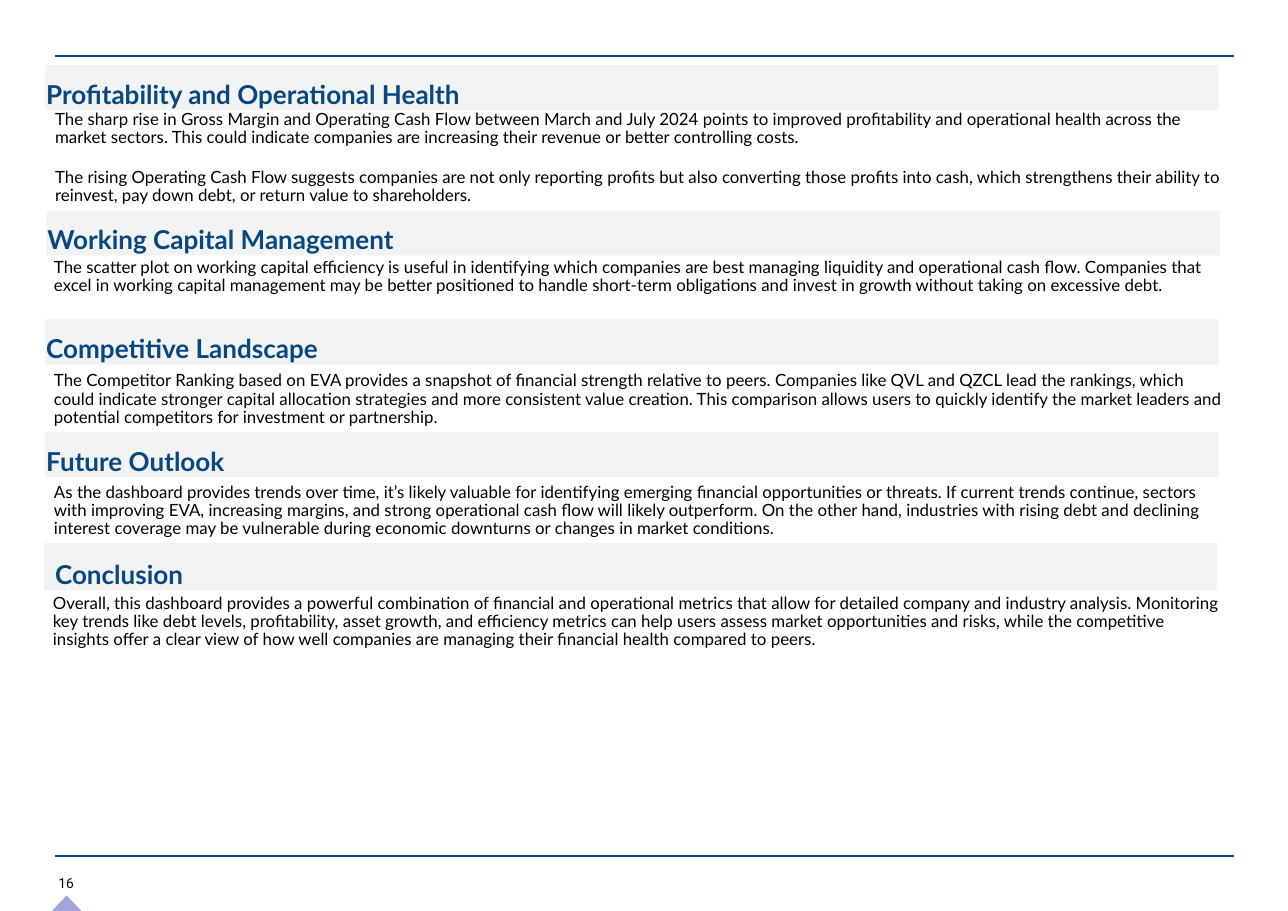
from dataclasses import dataclass
from pptx import Presentation
from pptx.dml.color import RGBColor as Rgb
from pptx.enum.shapes import MSO_CONNECTOR as Conn, MSO_SHAPE as Kind
from pptx.enum.text import MSO_ANCHOR as Anchor, PP_ALIGN as Align
from pptx.oxml.ns import qn
from pptx.util import Pt
from lxml.etree import SubElement as Sub

PX = 9144
WIDE, HIGH = 1169, 827


@dataclass(frozen=True)
class Theme:
    navy: str = "094780"
    ink: str = "000000"
    band: str = "DCDDDE"
    lilac: str = "A0A7D8"
    alpha: int = 35
    font: str = "Lato"
    digit: str = "Roboto"
    head: int = 17
    body: int = 11
    page: int = 9


T = Theme()

PARTS = [
    dict(title="Profitability and Operational Health", band=(41, 59), body=(42, 100), paras=[
        "The sharp rise in Gross Margin and Operating Cash Flow between March and July 2024 points to improved profitability and operational health across the market sectors. This could indicate companies are increasing their revenue or better controlling costs.",
        "The rising Operating Cash Flow suggests companies are not only reporting profits but also converting those profits into cash, which strengthens their ability to reinvest, pay down debt, or return value to shareholders.",
    ]),
    dict(title="Working Capital Management", band=(42, 191), body=(41, 234), paras=[
        "The scatter plot on working capital efficiency is useful in identifying which companies are best managing liquidity and operational cash flow. Companies that excel in working capital management may be better positioned to handle short-term obligations and invest in growth without taking on excessive debt.",
    ]),
    dict(title="Competitive Landscape", band=(41, 290), body=(41, 337), paras=[
        "The Competitor Ranking based on EVA provides a snapshot of financial strength relative to peers. Companies like QVL and QZCL lead the rankings, which could indicate stronger capital allocation strategies and more consistent value creation. This comparison allows users to quickly identify the market leaders and potential competitors for investment or partnership.",
    ]),
    dict(title="Future Outlook", band=(41, 392), body=(41, 438), paras=[
        "As the dashboard provides trends over time, it’s likely valuable for identifying emerging financial opportunities or threats. If current trends continue, sectors with improving EVA, increasing margins, and strong operational cash flow will likely outperform. On the other hand, industries with rising debt and declining interest coverage may be vulnerable during economic downturns or changes in market conditions.",
    ]),
    dict(title="Conclusion", band=(40, 493), body=(40, 539), tall=43, pad=10, lead=1.0, paras=[
        "Overall, this dashboard provides a powerful combination of financial and operational metrics that allow for detailed company and industry analysis. Monitoring key trends like debt levels, profitability, asset growth, and efficiency metrics can help users assess market opportunities and risks, while the competitive insights offer a clear view of how well companies are managing their financial health compared to peers.",
    ]),
]
RULES = [51, 777]
PAGE = "16"


def emu(*nums):
    return [n * PX for n in nums]


def paint(shape, color, alpha=None):
    shape.shadow.inherit = False
    shape.line.fill.background()
    shape.fill.solid()
    shape.fill.fore_color.rgb = Rgb.from_string(color)
    if alpha:
        tint = shape.fill._xPr.find(".//" + qn("a:srgbClr"))
        Sub(tint, qn("a:alpha"), val=str(alpha * 1000))


def write(shape, paras, size, color=T.ink, font=T.font, bold=False,
          top=1, pad=1, lead=None, gap=0):
    frame = shape.text_frame
    frame.word_wrap = True
    frame.vertical_anchor = Anchor.TOP
    frame.margin_left = frame.margin_right = frame.margin_bottom = 0
    frame.margin_top = top * PX
    for i, line in enumerate(paras):
        para = frame.paragraphs[0] if i == 0 else frame.add_paragraph()
        para.alignment = Align.LEFT
        para._p.get_or_add_pPr().set("marL", str(pad * PX))
        if lead:
            para.line_spacing = lead
        if i:
            para.space_before = Pt(gap)
        run = para.add_run()
        run.text = line
        run.font.size = Pt(size)
        run.font.name = font
        run.font.bold = bold
        run.font.color.rgb = Rgb.from_string(color)


def rule(shapes, y):
    line = shapes.add_connector(Conn.STRAIGHT, *emu(50, y, 1120, y))
    line.line.color.rgb = Rgb.from_string(T.navy)
    line.line.width = Pt(1)
    Sub(line._element.spPr, qn("a:effectLst"))


def main():
    deck = Presentation()
    deck.slide_width, deck.slide_height = emu(WIDE, HIGH)
    shapes = deck.slides.add_slide(deck.slide_layouts[6]).shapes

    mark = shapes.add_shape(Kind.ISOSCELES_TRIANGLE, *emu(47, 813, 27, 14))
    paint(mark, T.lilac)
    write(shapes.add_textbox(*emu(52, 793, 18, 17)), [PAGE], T.page, font=T.digit)
    for y in RULES:
        rule(shapes, y)

    for part in PARTS:
        body = shapes.add_textbox(*emu(*part["body"], 1072, 51 * len(part["paras"])))
        write(body, part["paras"], T.body, pad=8, lead=0.9, gap=14)
        band = shapes.add_shape(Kind.RECTANGLE, *emu(*part["band"], 1065, part.get("tall", 41)))
        paint(band, T.band, T.alpha)
        write(band, [part["title"]], T.head, color=T.navy, bold=True, top=14,
              pad=part.get("pad", 1), lead=part.get("lead", Pt(19)))

    deck.save("out.pptx")


if __name__ == "__main__":
    main()
